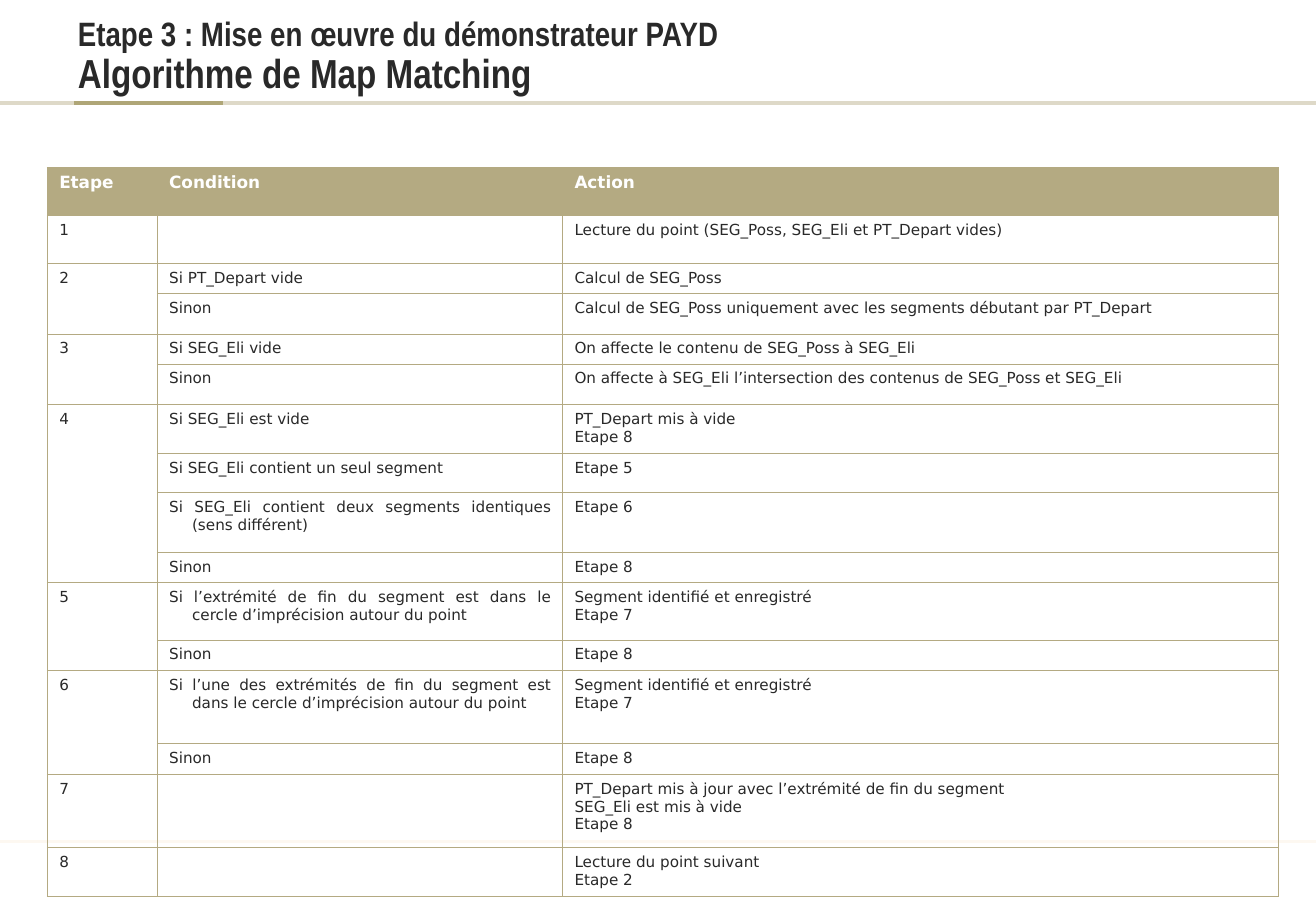
from pptx import Presentation
from pptx.dml.color import RGBColor
from pptx.enum.shapes import MSO_CONNECTOR
from pptx.enum.text import MSO_ANCHOR, PP_ALIGN
from pptx.oxml.ns import qn
from pptx.util import Cm, Pt
from lxml.etree import SubElement


def tint(code):
    return RGBColor.from_string(code)


def write(para, text, code, look):
    run = para.add_run()
    run.text = text
    run.font.color.rgb = tint(code)
    for key, value in look.items():
        setattr(run.font, key, value)


INK, GOLD, WHITE = "292929", "B4AA82", "FFFFFF"
HEAD = {"name": "DejaVu Sans", "size": Pt(10), "bold": True}
BODY = {"name": "DejaVu Sans", "size": Pt(9), "bold": False}

deck = Presentation()
deck.slide_width, deck.slide_height = Cm(27.53), Cm(19.05)
slide = deck.slides.add_slide(deck.slide_layouts[6])

rules = [
    (0, 27.53, 17.6, "FDF8F1", 1.5),
    (0, 27.53, 2.15, "DED9C8", 2),
    (1.55, 4.67, 2.15, "AFA677", 2),
]
for start, end, top, code, width in rules:
    rule = slide.shapes.add_connector(
        MSO_CONNECTOR.STRAIGHT, Cm(start), Cm(top), Cm(end), Cm(top))
    rule.line.color.rgb = tint(code)
    rule.line.width = Pt(width)
    SubElement(rule._element.spPr, qn("a:effectLst"))

title = slide.shapes.add_textbox(Cm(0.13), Cm(0.48), Cm(26.95), Cm(1.55))
frame = title.text_frame
layout = {
    "word_wrap": True, "vertical_anchor": MSO_ANCHOR.BOTTOM,
    "margin_left": Cm(1.5), "margin_right": Cm(0.2),
    "margin_top": Cm(0.1), "margin_bottom": 0,
}
for key, value in layout.items():
    setattr(frame, key, value)
para = frame.paragraphs[0]
para.line_spacing = 0.9
large = {"name": "Arial Narrow", "size": Pt(24), "bold": True}
write(para, "Etape 3 : Mise en œuvre du démonstrateur PAYD", INK,
      {**large, "size": Pt(20)})
para.add_line_break()
write(para, "Algorithme de Map Matching", INK, large)

rows = [
    (1, "Etape", "Condition", "Action"),
    (0.97, "1", "", "Lecture du point (SEG_Poss, SEG_Eli et PT_Depart vides)"),
    (0.63, "2", "Si PT_Depart vide", "Calcul de SEG_Poss"),
    (0.85, "", "Sinon",
     "Calcul de SEG_Poss uniquement avec les segments débutant par PT_Depart"),
    (0.63, "3", "Si SEG_Eli vide", "On affecte le contenu de SEG_Poss à SEG_Eli"),
    (0.85, "", "Sinon",
     "On affecte à SEG_Eli l’intersection des contenus de SEG_Poss et SEG_Eli"),
    (1.02, "4", "Si SEG_Eli est vide", "PT_Depart mis à vide\nEtape 8"),
    (0.82, "", "Si SEG_Eli contient un seul segment", "Etape 5"),
    (1.25, "", "Si SEG_Eli contient deux segments identiques (sens différent)",
     "Etape 6"),
    (0.63, "", "Sinon", "Etape 8"),
    (1.2, "5",
     "Si l’extrémité de fin du segment est dans le cercle d’imprécision autour du point",
     "Segment identifié et enregistré\nEtape 7"),
    (0.64, "", "Sinon", "Etape 8"),
    (1.53, "6",
     "Si l’une des extrémités de fin du segment est dans le cercle d’imprécision "
     "autour du point",
     "Segment identifié et enregistré\nEtape 7"),
    (0.64, "", "Sinon", "Etape 8"),
    (1.53, "7", "",
     "PT_Depart mis à jour avec l’extrémité de fin du segment\n"
     "SEG_Eli est mis à vide\nEtape 8"),
    (1.02, "8", "", "Lecture du point suivant\nEtape 2"),
]
widths = [2.3, 8.48, 14.98]
high = sum(row[0] for row in rows)
grid = slide.shapes.add_table(
    len(rows), len(widths), Cm(0.99), Cm(3.5), Cm(sum(widths)), Cm(high)).table
grid.first_row = grid.horz_banding = False
for column, width in zip(grid.columns, widths):
    column.width = Cm(width)

inset = {
    "margin_left": Cm(0.25), "margin_right": Cm(0.25),
    "margin_top": Cm(0.12), "margin_bottom": Cm(0.12),
}
for index, (height, *texts) in enumerate(rows):
    grid.rows[index].height = Cm(height)
    for column, text in enumerate(texts):
        cell = grid.cell(index, column)
        for key, value in inset.items():
            setattr(cell, key, value)
        props = cell._tc.get_or_add_tcPr()
        for side in ("lnL", "lnR", "lnT", "lnB"):
            edge = SubElement(props, qn(f"a:{side}"), w=str(Pt(0.45)))
            solid = SubElement(edge, qn("a:solidFill"))
            SubElement(solid, qn("a:srgbClr"), val=GOLD)
        if index == 0:
            cell.fill.solid()
            cell.fill.fore_color.rgb = tint(GOLD)
        else:
            cell.fill.background()
        if not text:
            continue
        for order, line in enumerate(text.split("\n")):
            frame = cell.text_frame
            para = frame.add_paragraph() if order else frame.paragraphs[0]
            para.alignment = PP_ALIGN.JUSTIFY
            hang = para._p.get_or_add_pPr()
            hang.set("marL", str(Cm(0.48)))
            hang.set("indent", str(-Cm(0.48)))
            write(para, line, WHITE if index == 0 else INK,
                  BODY if index else HEAD)

starts = [index for index, row in enumerate(rows) if row[1]] + [len(rows)]
for first, after in zip(starts, starts[1:]):
    if after - first > 1:
        grid.cell(first, 0).merge(grid.cell(after - 1, 0))

deck.save("out.pptx")
